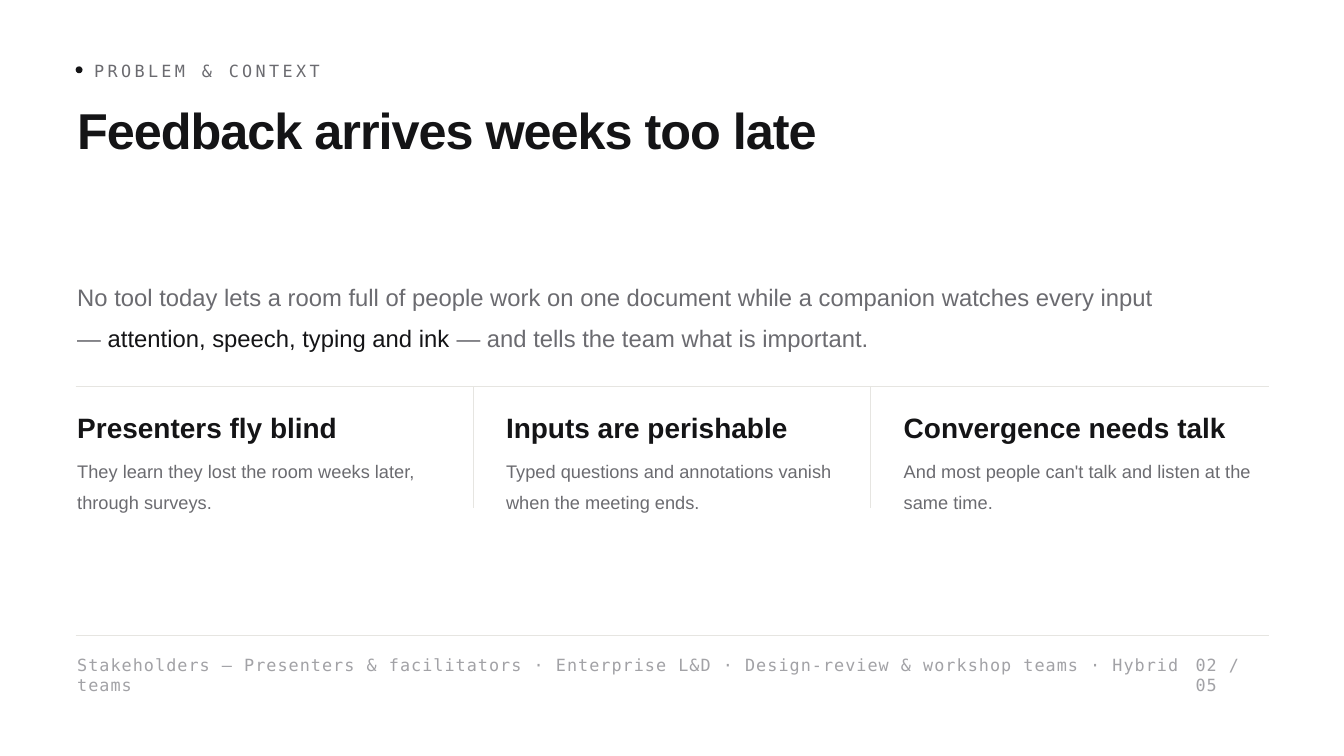
from lxml.etree import SubElement
from pptx import Presentation
from pptx.dml.color import RGBColor
from pptx.enum.shapes import MSO_CONNECTOR, MSO_SHAPE
from pptx.oxml.ns import qn
from pptx.util import Cm, Pt

SANS, MONO = "Arial", "DejaVu Sans Mono"
INK, GREY, PALE, RULE = "141416", "6B6B70", "A2A2A6", "E6E5E1"
MARGIN, CONTENT_WIDTH = 2.86, 45.09
TEXT_INSET = 0.06

PROBLEMS = [
    ("Presenters fly blind",
     "They learn they lost the room weeks later, through surveys.", TEXT_INSET, 14.12),
    ("Inputs are perishable",
     "Typed questions and annotations vanish when the meeting ends.", 1.24, 12.93),
    ("Convergence needs talk",
     "And most people can't talk and listen at the same time.", 1.24, 14.14),
]


def colour(value):
    return RGBColor.from_string(value)


def add_text(slide, box, parts, size, leading, font=SANS, bold=False, spacing=0):
    frame = slide.shapes.add_textbox(*map(Cm, box)).text_frame
    frame.word_wrap = True
    frame.margin_left = frame.margin_right = 0
    frame.margin_top = frame.margin_bottom = 0
    paragraph = frame.paragraphs[0]
    paragraph.line_spacing = Pt(leading)
    for words, shade in parts:
        run = paragraph.add_run()
        run.text = words
        run.font.name = font
        run.font.size = Pt(size)
        run.font.bold = bold
        run.font.color.rgb = colour(shade)
        if spacing:
            run.font._element.set("spc", str(round(spacing * 100)))


def add_rule(slide, x1, y1, x2, y2):
    rule = slide.shapes.add_connector(MSO_CONNECTOR.STRAIGHT, *map(Cm, (x1, y1, x2, y2)))
    rule.line.color.rgb = colour(RULE)
    rule.line.width = Pt(1)
    SubElement(rule._element.spPr, qn("a:effectLst"))


def add_header(slide, left, top, width):
    bullet = slide.shapes.add_shape(
        MSO_SHAPE.OVAL, Cm(left), Cm(top + 0.22), Cm(0.26), Cm(0.26))
    bullet.shadow.inherit = False
    bullet.fill.solid()
    bullet.fill.fore_color.rgb = colour(INK)
    bullet.line.fill.background()
    add_text(slide, (left + 0.7, top, 8.76, 0.81), [("PROBLEM & CONTEXT", GREY)],
             18, 21.6, MONO, spacing=3.6)
    add_text(slide, (left + TEXT_INSET, top + 1.37, width, 2.11),
             [("Feedback arrives weeks too late", INK)], 54, 67.4, bold=True, spacing=-1.1)


def add_statement(slide, left, top, width):
    add_text(slide, (left + TEXT_INSET, top, width, 2.9), [
        ("No tool today lets a room full of people work on one document "
         "while a companion watches every input — ", GREY),
        ("attention, speech, typing and ink ", INK),
        ("— and tells the team what is important.", GREY),
    ], 25.5, 43.5)


def add_problems(slide, left, top, width, height):
    add_rule(slide, left, top, left + width, top)
    column_width = width / len(PROBLEMS)
    for index, (heading, detail, inset, text_width) in enumerate(PROBLEMS):
        column_left = left + index * column_width
        text_left = column_left + inset
        if index:
            add_rule(slide, column_left, top, column_left, top + height)
        add_text(slide, (text_left, top + 0.92, text_width, 1.37),
                 [(heading, INK)], 30, 36, bold=True)
        add_text(slide, (text_left, top + 2.47, text_width, 2.18),
                 [(detail, GREY)], 19.5, 32.8)


def add_footer(slide, left, top, width):
    add_rule(slide, left, top, left + width, top)
    stakeholders = ("Stakeholders — Presenters & facilitators · Enterprise L&D · "
                    "Design-review & workshop teams · Hybrid teams")
    for words, offset, text_width in [(stakeholders, TEXT_INSET, 43.38),
                                      ("02 / 05", 42.33, 2.9)]:
        add_text(slide, (left + offset, top + 0.72, text_width, 1.65),
                 [(words, PALE)], 18, 21.6, MONO, spacing=1.1)


def main():
    deck = Presentation()
    deck.slide_width, deck.slide_height = Cm(50.8), Cm(28.58)
    slide = deck.slides.add_slide(deck.slide_layouts[6])
    add_header(slide, MARGIN, 2.29, 46.3)
    add_statement(slide, MARGIN, 10.24, 40.74)
    add_problems(slide, MARGIN, 14.6, CONTENT_WIDTH, 4.6)
    add_footer(slide, MARGIN, 24.02, CONTENT_WIDTH)
    deck.save("out.pptx")


if __name__ == "__main__":
    main()
